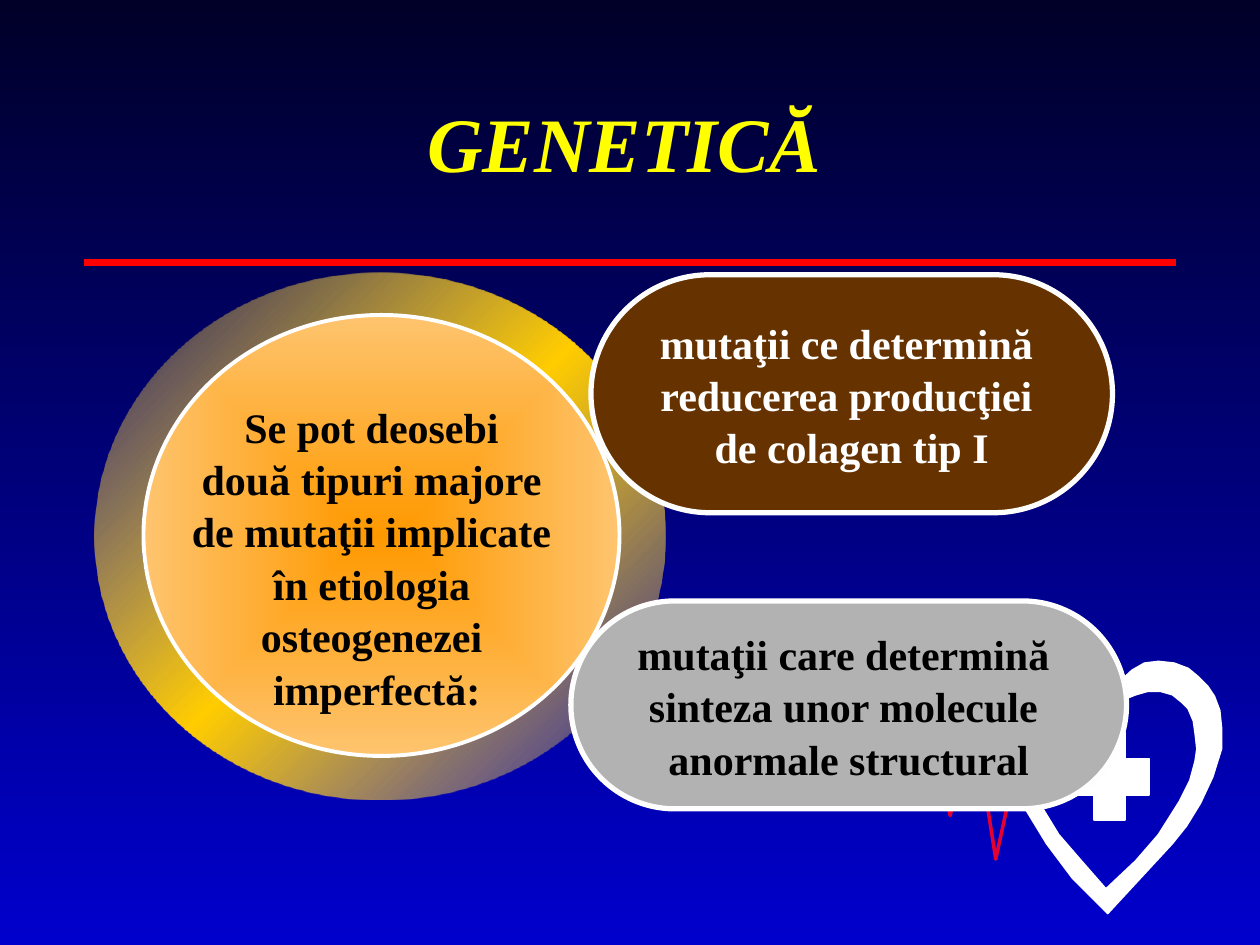
import pptx
import pptx.util
import pptx.dml.color
import pptx.enum.shapes
import pptx.enum.text
import pptx.oxml.ns
from lxml import etree

Pt = pptx.util.Pt
qn = pptx.oxml.ns.qn
Kind = pptx.enum.shapes.MSO_SHAPE
Text = pptx.enum.text

WHITE, BLACK, EDGE = "FFFFFF", "000000", "FEFEFE"
TITLE = ["GENETICĂ"]
INTRO = ["Se pot deosebi ", "două tipuri majore ", "de mutaţii implicate ",
         "în etiologia ", "osteogenezei ", "imperfectă:"]
PILLS = [
    (["mutaţii ce determină ", "reducerea producţiei ", "de colagen tip I"],
     (337.7, 157, 298, 136), "663300", WHITE),
    (["mutaţii care determină ", "sinteza unor molecule ", "anormale structural"],
     (326.2, 343.4, 317.5, 118.8), "B2B2B2", BLACK),
]
CROSS = [(625, 418.3, 18, 50.4), (611.3, 433.4, 45.4, 20.9)]
PULSE = [(506.9, 449.3), (527.8, 449.3), (533.5, 425.5), (542.9, 465.8), (555.8, 408.2),
         (568.8, 491), (583.9, 421.9), (589, 445), (615.6, 445)]
HEART = [
    (594, 459.4), (604.8, 477.4), (617.8, 492.5), (632.2, 508.3), (648.7, 492.5),
    (661.7, 477.4), (673.9, 457.9), (679.7, 446.4), (683.3, 434.9), (684, 427.7),
    (683.3, 419), (681.8, 411.8), (679, 405.4), (674.6, 401), (669.6, 397.4),
    (663.1, 395.3), (655.9, 395.3), (649.4, 396.7), (643.7, 398.9), (633.6, 408.2),
    (623.5, 398.9), (617.8, 396.7), (611.3, 395.3), (604.1, 395.3), (597.6, 398.2),
    (592.6, 401.8), (589.7, 406.1), (586.8, 411.1), (571, 411.1), (573.8, 400.3),
    (578.2, 391.7), (582.5, 386.6), (589.7, 382.3), (596.9, 378.7), (605.5, 378),
    (613.4, 379.4), (621.4, 383), (634.3, 394.6), (647.3, 383), (654.5, 379.4),
    (662.4, 378), (671, 378.7), (679, 381.6), (685.4, 386.6), (690.5, 391.7),
    (694.1, 398.2), (697, 406.1), (698.4, 416.2), (697.7, 428.4), (693.4, 443.5),
    (686.2, 458.6), (677.5, 472.3), (669.6, 482.4), (632.9, 522), (613.4, 501.8),
    (598.3, 482.4), (583.9, 459.4),
]


def rgb(code):
    return pptx.dml.color.RGBColor.from_string(code)


def blend(fill, root, stops, angle=None):
    fill.gradient()
    grad = root.find(".//" + qn("a:gradFill"))
    for part in list(grad):
        grad.remove(part)
    row = etree.SubElement(grad, qn("a:gsLst"))
    for place, code, alpha in stops:
        stop = etree.SubElement(row, qn("a:gs"), pos=str(place * 1000))
        tint = etree.SubElement(stop, qn("a:srgbClr"), val=code)
        if alpha < 100:
            etree.SubElement(tint, qn("a:alpha"), val=str(alpha * 1000))
    if angle is None:
        way = etree.SubElement(grad, qn("a:path"), path="rect")
        etree.SubElement(way, qn("a:fillToRect"), l="50000", t="50000", r="50000", b="50000")
    else:
        etree.SubElement(grad, qn("a:lin"), ang=str(angle * 60000), scaled="0")


def style(shape, fill=None, line=None, width=1):
    shape.shadow.inherit = False
    if fill:
        shape.fill.solid()
        shape.fill.fore_color.rgb = rgb(fill)
    else:
        shape.fill.background()
    if line:
        shape.line.color.rgb = rgb(line)
        shape.line.width = Pt(width)
    else:
        shape.line.fill.background()
    return shape


def draw(kind, box, **look):
    return style(slide.shapes.add_shape(kind, *map(Pt, box)), **look)


def trace(points, close, **look):
    pen = slide.shapes.build_freeform(*points[0], scale=Pt(1))
    pen.add_line_segments(points[1:], close=close)
    return style(pen.convert_to_shape(), **look)


def write(shape, lines, size=24, color=BLACK, italic=False, wrap=True, middle=False):
    frame = shape.text_frame
    frame.word_wrap = wrap
    frame.vertical_anchor = Text.MSO_ANCHOR.MIDDLE if middle else Text.MSO_ANCHOR.TOP
    for i, line in enumerate(lines):
        para = frame.add_paragraph() if i else frame.paragraphs[0]
        para.alignment = Text.PP_ALIGN.CENTER
        para.line_spacing = 1.04
        run = para.add_run()
        run.text = line
        font = run.font
        font.name, font.size, font.bold, font.italic = "Times New Roman", Pt(size), True, italic
        font.color.rgb = rgb(color)


deck = pptx.Presentation()
deck.slide_width, deck.slide_height = Pt(720), Pt(540)
slide = deck.slides.add_slide(deck.slide_layouts[6])
blend(slide.background.fill, slide.element, [(0, "000028", 100), (100, "0000CC", 100)], 90)

trace(PULSE, False, line="E50032", width=2)
for bar in CROSS:
    draw(Kind.RECTANGLE, bar, fill=WHITE, line=WHITE)
trace(HEART, True, fill=WHITE, line=WHITE)

rule = slide.shapes.add_connector(
    pptx.enum.shapes.MSO_CONNECTOR.STRAIGHT, Pt(48), Pt(150), Pt(672), Pt(150))
rule.line.color.rgb = rgb("FF0000")
rule.line.width = Pt(4)
etree.SubElement(rule.element.spPr, qn("a:effectLst"))

ring = draw(Kind.DONUT, (54, 156, 326, 301))
ring.adjustments[0] = 0.09
blend(ring.fill, ring.element, [(0, "FEDF63", 12), (50, "FFCC00", 100), (100, "FEDF63", 12)], 225)
disc = draw(Kind.OVAL, (82, 180, 272, 252), line=WHITE, width=2.25)
blend(disc.fill, disc.element, [(0, "FF9900", 100), (100, "FEC46E", 100)])

for lines, box, fill, color in PILLS:
    pill = draw(Kind.ROUNDED_RECTANGLE, box, fill=fill, line=EDGE, width=3)
    pill.adjustments[0] = 0.5
    write(pill, lines, color=color, wrap=False, middle=True)

write(slide.shapes.add_textbox(Pt(76.3), Pt(224.6), Pt(278), Pt(180)), INTRO)
write(slide.shapes.add_textbox(Pt(25.2), Pt(49), Pt(663), Pt(60.5)), TITLE,
      size=44, color="FFFF00", italic=True)

deck.save("out.pptx")
